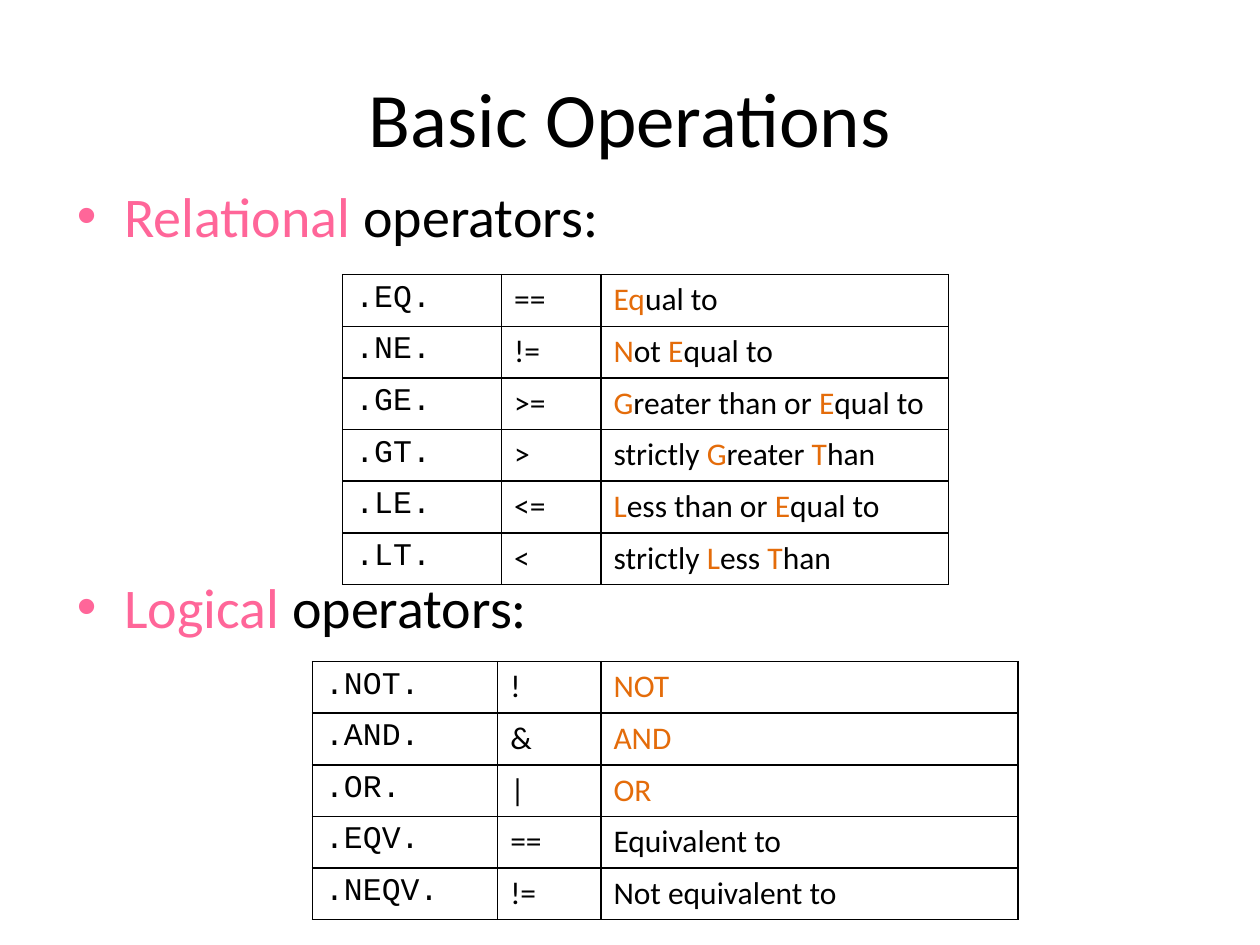
from dataclasses import dataclass
from lxml import etree
from pptx import Presentation
from pptx.dml.color import RGBColor
from pptx.enum.text import MSO_ANCHOR, PP_ALIGN
from pptx.oxml.ns import qn
from pptx.util import Inches, Pt

MIDDLE = MSO_ANCHOR.MIDDLE
CENTER = PP_ALIGN.CENTER


@dataclass(frozen=True)
class Theme:
    """Colours, fonts and type sizes of the slide."""
    ink: str = "000000"
    pink: str = "FF6699"
    hot: str = "E46C0A"
    sans: str = "Calibri"
    mono: str = "Courier New"
    head: int = 44
    body: int = 32
    cell: int = 18
    rule: int = 1


LOOK = Theme()
ROW = 0.41
RELATE = [
    (".EQ.", "==", "*Eq*ual to"),
    (".NE.", "!=", "*N*ot *E*qual to"),
    (".GE.", ">=", "*G*reater than or *E*qual to"),
    (".GT.", ">", "strictly *G*reater *T*han"),
    (".LE.", "<=", "*L*ess than or *E*qual to"),
    (".LT.", "<", "strictly *L*ess *T*han"),
]
LOGIC = [
    (".NOT.", "!", "*NOT*"),
    (".AND.", "&", "*AND*"),
    (".OR.", "|", "*OR*"),
    (".EQV.", "==", "Equivalent to"),
    (".NEQV.", "!=", "Not equivalent to"),
]


def write(para, text, size=LOOK.cell, font=LOOK.sans, mark=LOOK.hot):
    """Fill a paragraph, colouring the parts between asterisks."""
    for i, part in enumerate(text.split("*")):
        if part:
            run = para.add_run()
            run.text = part
            run.font.size = Pt(size)
            run.font.name = font
            run.font.color.rgb = RGBColor.from_string(mark if i % 2 else LOOK.ink)


def place(shape, box):
    """Move a shape to a box given in inches."""
    shape.left, shape.top, shape.width, shape.height = map(Inches, box)


def add_title(slide, box, text):
    """Set the slide title."""
    title = slide.shapes.title
    place(title, box)
    title.text_frame.vertical_anchor = MIDDLE
    para = title.text_frame.paragraphs[0]
    para.alignment = CENTER
    write(para, text, size=LOOK.head)


def add_list(slide, box, items, gap):
    """Set the bullets, with a gap in points between them for a table."""
    body = slide.placeholders[1]
    place(body, box)
    frame = body.text_frame
    for i, text in enumerate(items):
        para = frame.add_paragraph() if i else frame.paragraphs[0]
        if i:
            para.space_before = Pt(gap)
        write(para, text, size=LOOK.body, mark=LOOK.pink)


def edge(cell):
    """Rule all four sides of a cell."""
    props = cell._tc.get_or_add_tcPr()
    for side in ("lnL", "lnR", "lnT", "lnB"):
        line = etree.SubElement(props, qn(f"a:{side}"), w=str(Pt(LOOK.rule)))
        fill = etree.SubElement(line, qn("a:solidFill"))
        etree.SubElement(fill, qn("a:srgbClr"), val=LOOK.ink)


def add_grid(slide, left, top, cols, rows):
    """Add a table of operators with their symbols and meanings."""
    box = map(Inches, (left, top, sum(cols), ROW * len(rows)))
    grid = slide.shapes.add_table(len(rows), len(cols), *box).table
    grid.first_row = grid.horz_banding = False
    for col, width in zip(grid.columns, cols):
        col.width = Inches(width)
    for r, row in enumerate(rows):
        for c, text in enumerate(row):
            cell = grid.cell(r, c)
            edge(cell)
            cell.fill.background()
            font = LOOK.sans if c else LOOK.mono
            write(cell.text_frame.paragraphs[0], text, font=font)


def main():
    """Build and save the slide."""
    deck = Presentation()
    deck.slide_width, deck.slide_height = Inches(10), Inches(7.5)
    slide = deck.slides.add_slide(deck.slide_layouts[1])
    add_title(slide, (0.5, 0.3, 9, 1.25), "Basic Operations")
    items = ["*Relational* operators:", "*Logical* operators:"]
    add_list(slide, (0.51, 1.39, 9, 4.95), items, gap=185)
    add_grid(slide, 2.72, 2.18, (1.26, 0.79, 2.76), RELATE)
    add_grid(slide, 2.48, 5.25, (1.47, 0.82, 3.31), LOGIC)
    deck.save("out.pptx")


if __name__ == "__main__":
    main()
